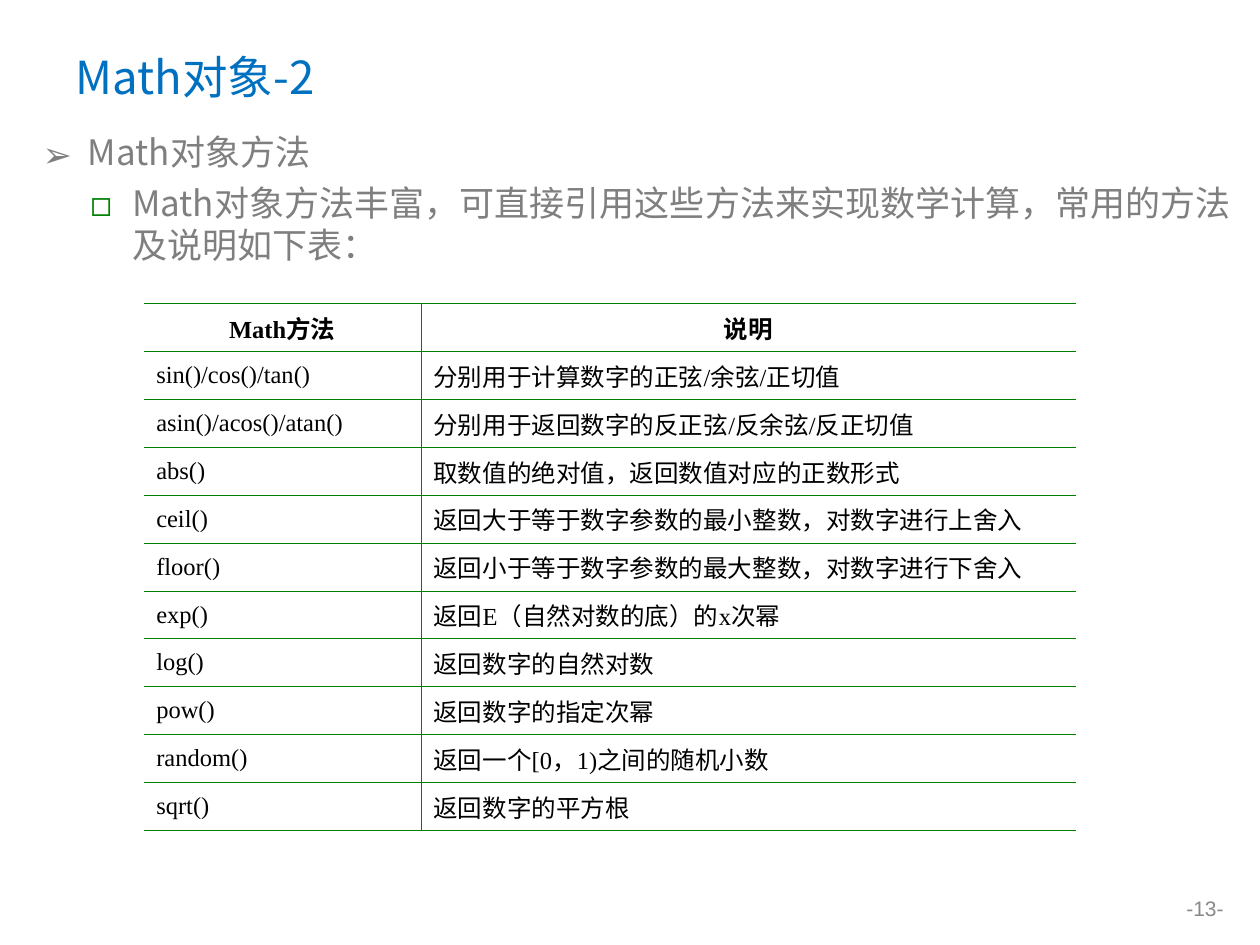
import pptx
import pptx.util
import pptx.dml.color
import pptx.enum.text
import pptx.oxml.ns
from lxml import etree

Inches = pptx.util.Inches
Pt = pptx.util.Pt
RGBColor = pptx.dml.color.RGBColor
Align = pptx.enum.text.PP_ALIGN
Anchor = pptx.enum.text.MSO_ANCHOR
qn = pptx.oxml.ns.qn

BLUE = RGBColor(0x00, 0x70, 0xC0)
GRAY = RGBColor(0x7F, 0x7F, 0x7F)
PALE = RGBColor(0x89, 0x89, 0x89)
GREEN = RGBColor(0x00, 0x80, 0x00)
BLACK = RGBColor(0x00, 0x00, 0x00)
SANS = "Noto Sans CJK SC"
SERIF = "Times New Roman"

TITLE = "Math对象-2"
PAGE = "-13-"
POINTS = [
    ("Math对象方法", "➢", GRAY, 0.48, -0.36),
    ("Math对象方法丰富，可直接引用这些方法来实现数学计算，常用的方法及说明如下表：",
     "◻", GREEN, 0.83, -0.33),
]
ROWS = [
    ("Math方法", "说明"),
    ("sin()/cos()/tan()", "分别用于计算数字的正弦/余弦/正切值"),
    ("asin()/acos()/atan()", "分别用于返回数字的反正弦/反余弦/反正切值"),
    ("abs()", "取数值的绝对值，返回数值对应的正数形式"),
    ("ceil()", "返回大于等于数字参数的最小整数，对数字进行上舍入"),
    ("floor()", "返回小于等于数字参数的最大整数，对数字进行下舍入"),
    ("exp()", "返回E（自然对数的底）的x次幂"),
    ("log()", "返回数字的自然对数"),
    ("pow()", "返回数字的指定次幂"),
    ("random()", "返回一个[0，1)之间的随机小数"),
    ("sqrt()", "返回数字的平方根"),
]
COLS = [2.2, 5.2]
ROW = 0.384
ROW = round(ROW, 2)


def add_run(para, text, size, face, color, bold=False):
    run = para.add_run()
    run.text = text
    font = run.font
    font.size, font.name, font.bold = Pt(size), face, bold
    font.color.rgb = color
    if face == SANS:
        east = etree.SubElement(run._r.get_or_add_rPr(), qn("a:ea"))
        east.set("typeface", face)


def add_box(slide, left, top, width, height, anchor):
    box = slide.shapes.add_textbox(*map(Inches, (left, top, width, height)))
    frame = box.text_frame
    frame.word_wrap = True
    frame.vertical_anchor = anchor
    return frame


def set_bullet(para, mark, color, left, hang):
    props = para._p.get_or_add_pPr()
    props.set("marL", str(Inches(left)))
    props.set("indent", str(Inches(hang)))
    tint = etree.SubElement(props, qn("a:buClr"))
    etree.SubElement(tint, qn("a:srgbClr")).set("val", str(color))
    etree.SubElement(props, qn("a:buFont")).set("typeface", SANS)
    etree.SubElement(props, qn("a:buChar")).set("char", mark)


def set_edge(cell, side, width):
    line = etree.SubElement(cell._tc.get_or_add_tcPr(), qn("a:ln" + side))
    if width:
        line.set("w", str(Pt(width)))
        fill = etree.SubElement(line, qn("a:solidFill"))
        etree.SubElement(fill, qn("a:srgbClr")).set("val", str(GREEN))
    else:
        etree.SubElement(line, qn("a:noFill"))


def add_grid(slide):
    last = len(ROWS) - 1
    table = slide.shapes.add_table(
        len(ROWS), len(COLS), Inches(1.14), Inches(2.41),
        Inches(sum(COLS)), Inches(ROW * len(ROWS))).table
    table.first_row = table.horz_banding = False
    for col, width in zip(table.columns, COLS):
        col.width = Inches(width)
    for r, texts in enumerate(ROWS):
        table.rows[r].height = Inches(ROW)
        for c, text in enumerate(texts):
            cell = table.cell(r, c)
            cell.vertical_anchor = Anchor.MIDDLE
            set_edge(cell, "L", 0.45 if c else 0)
            set_edge(cell, "R", 0 if c else 0.45)
            set_edge(cell, "T", 0.45 if r else 0.75)
            set_edge(cell, "B", 0.75 if r == last else 0.45)
            cell.fill.background()
            para = cell.text_frame.paragraphs[0]
            para.alignment = Align.LEFT if r else Align.CENTER
            add_run(para, text, 14, SERIF, BLACK, r == 0)


def main():
    deck = pptx.Presentation()
    deck.slide_width, deck.slide_height = Inches(10), Inches(7.5)
    slide = deck.slides.add_slide(deck.slide_layouts[6])

    title = add_box(slide, 0.5, 0.3, 9, 0.61, Anchor.MIDDLE)
    add_run(title.paragraphs[0], TITLE, 26, SANS, BLUE)

    body = add_box(slide, 0.12, 0.99, 9.76, 5.99, Anchor.TOP)
    for i, (text, mark, color, left, hang) in enumerate(POINTS):
        para = body.add_paragraph() if i else body.paragraphs[0]
        para.space_before = Pt(5 if i else 0)
        set_bullet(para, mark, color, left, hang)
        add_run(para, text, 20, SANS, GRAY)

    add_grid(slide)

    page = add_box(slide, 9.1, 7.06, 0.71, 0.29, Anchor.MIDDLE)
    page.paragraphs[0].alignment = Align.RIGHT
    add_run(page.paragraphs[0], PAGE, 12, "Arial", PALE)

    deck.save("out.pptx")


if __name__ == "__main__":
    main()
